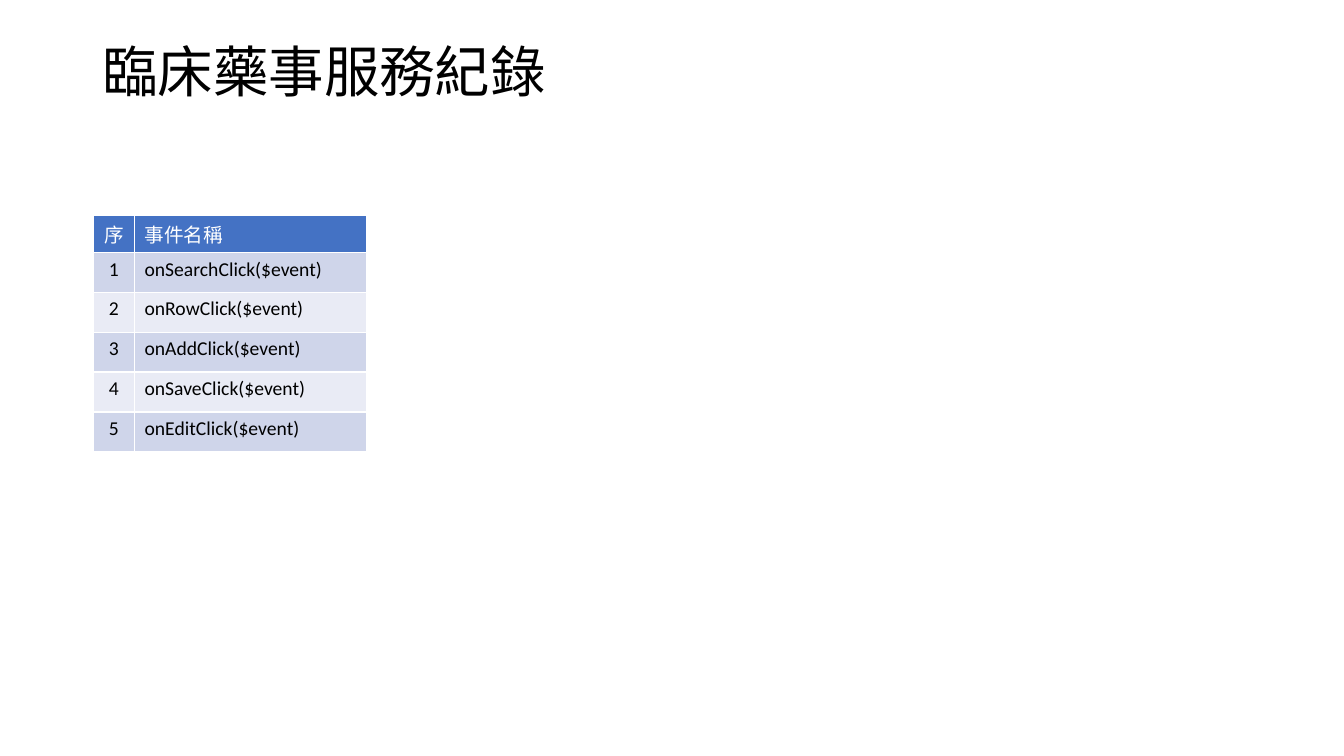
from pptx import Presentation
from pptx.dml.color import RGBColor
from pptx.enum.text import MSO_ANCHOR, PP_ALIGN
from pptx.util import Cm, Pt

TOP = MSO_ANCHOR.TOP
LEFT, CENTER = PP_ALIGN.LEFT, PP_ALIGN.CENTER

LATIN, HAN = "Calibri", "Noto Sans CJK SC"
BLACK, WHITE, BLUE = "000000", "FFFFFF", "4472C4"
BANDS = ("CFD5EA", "E9EBF5")

HEADS = ("序", "事件名稱")
EVENTS = ("Search", "Row", "Add", "Save", "Edit")


def color(code):
    return RGBColor.from_string(code)


def style(para, text, size, face, ink, align=LEFT):
    para.text = text
    para.alignment = align
    font = para.font
    font.size, font.name, font.bold = Pt(size), face, False
    font.color.rgb = color(ink)


def add_title(slide, left, top, width, height, text):
    box = slide.shapes.add_textbox(Cm(left), Cm(top), Cm(width), Cm(height))
    frame = box.text_frame
    frame.word_wrap = True
    frame.vertical_anchor = TOP
    para = frame.paragraphs[0]
    style(para, text, 39.6, LATIN, BLACK)
    para.line_spacing = 0.9


def add_events(slide, left, top, width, height):
    rows = [HEADS]
    rows += [(str(i), f"on{name}Click($event)") for i, name in enumerate(EVENTS, 1)]
    shape = slide.shapes.add_table(
        len(rows), len(HEADS), Cm(left), Cm(top), Cm(width), Cm(height))
    table = shape.table

    # Narrow number column, header row slightly lower than the rest
    number, header = 1.04, 0.94
    table.columns[0].width = Cm(number)
    table.columns[1].width = Cm(width - number)
    body = (height - header) / len(EVENTS)

    for r, row in enumerate(rows):
        table.rows[r].height = Cm(body if r else header)
        fill = BANDS[(r - 1) % 2] if r else BLUE
        face, ink = (LATIN, BLACK) if r else (HAN, WHITE)
        for c, text in enumerate(row):
            cell = table.cell(r, c)
            cell.fill.solid()
            cell.fill.fore_color.rgb = color(fill)
            align = LEFT if c else CENTER
            style(cell.text_frame.paragraphs[0], text, 14, face, ink, align)


def main():
    deck = Presentation()
    deck.slide_width, deck.slide_height = Cm(33.87), Cm(19.05)
    slide = deck.slides.add_slide(deck.slide_layouts[6])
    add_title(slide, 2.33, 1.01, 29.21, 3.68, "臨床藥事服務紀錄")
    add_events(slide, 2.35, 5.42, 6.88, 5.97)
    deck.save("out.pptx")


if __name__ == "__main__":
    main()
